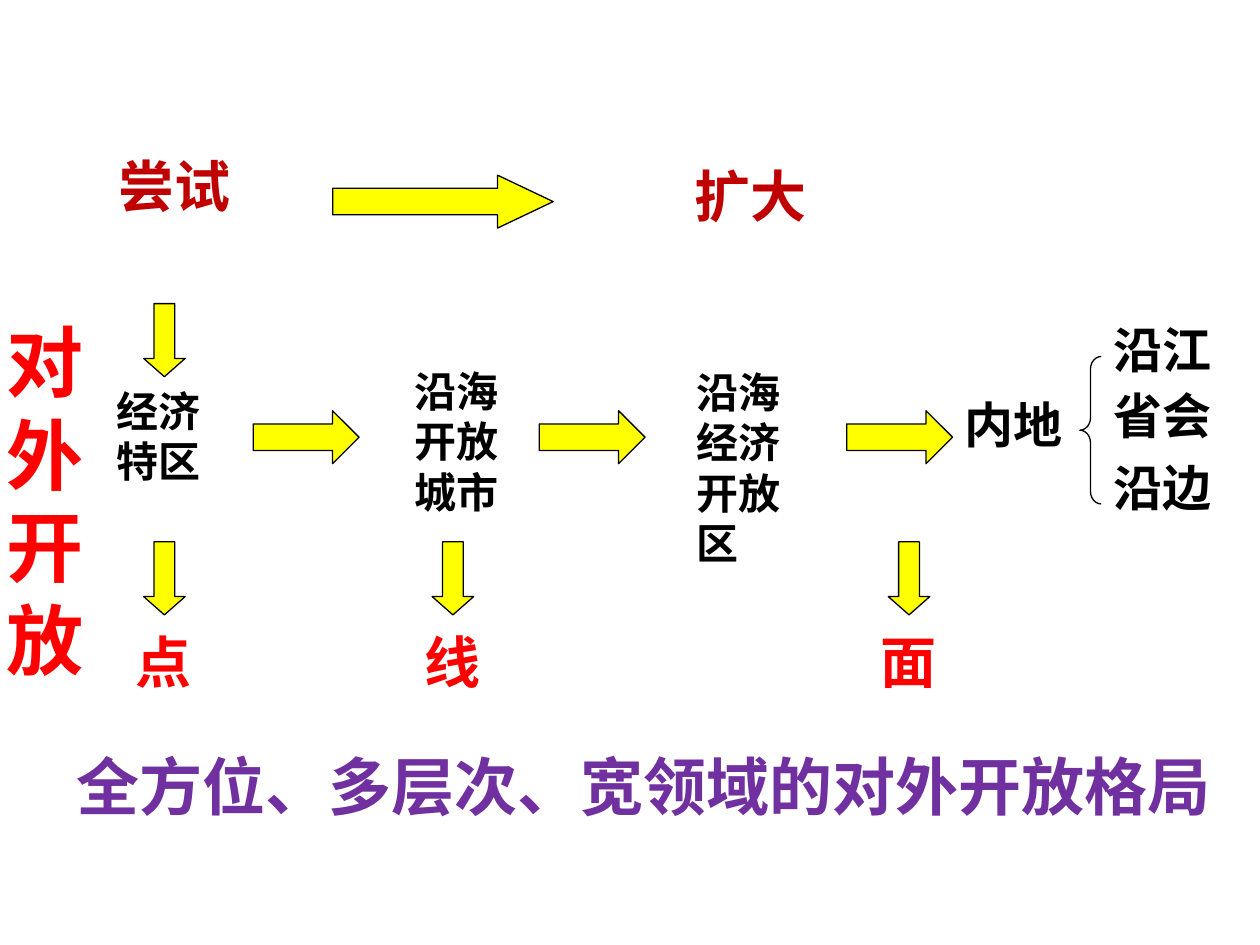
from pptx import Presentation
from pptx.dml.color import RGBColor
from pptx.enum.shapes import MSO_SHAPE as Shape
from pptx.enum.text import MSO_ANCHOR, PP_ALIGN as Align
from pptx.util import Inches, Pt
from lxml.etree import SubElement
from pptx.oxml.ns import qn

COLORS = {"yellow": "FFFF00", "black": "000000", "crimson": "C00000",
          "red": "FF0000", "purple": "7030A0"}
CJK_FONT = "Noto Sans CJK SC"

prs = Presentation()
prs.slide_width, prs.slide_height = Inches(10), Inches(7.5)
slide = prs.slides.add_slide(prs.slide_layouts[6])


def add_text(text, left, top, width, height, size=24, color="black",
             font=CJK_FONT, align=Align.LEFT, wrap=False):
    frame = slide.shapes.add_textbox(
        Inches(left), Inches(top), Inches(width), Inches(height)).text_frame
    frame.word_wrap = wrap
    frame.vertical_anchor = MSO_ANCHOR.TOP
    paragraph = frame.paragraphs[0]
    paragraph.alignment = align
    paragraph.line_spacing = Pt(1.2 * size)
    run = paragraph.add_run()
    run.text = text
    run.font.name = font
    run.font.size = Pt(size)
    run.font.bold = True
    run.font.color.rgb = RGBColor.from_string(COLORS[color])
    SubElement(run.font._element, qn("a:ea")).set("typeface", CJK_FONT)


def add_outlined(kind, left, top, width, height, adjustments, fill=None):
    shape = slide.shapes.add_shape(
        kind, Inches(left), Inches(top), Inches(width), Inches(height))
    shape.shadow.inherit = False
    for index, value in enumerate(adjustments):
        shape.adjustments[index] = value
    if fill:
        shape.fill.solid()
        shape.fill.fore_color.rgb = RGBColor.from_string(COLORS[fill])
    else:
        shape.fill.background()
    shape.line.color.rgb = RGBColor.from_string(COLORS["black"])
    shape.line.width = Pt(0.75)


# Phases: from trial to expansion
add_outlined(Shape.RIGHT_ARROW, 2.64, 1.39, 1.75, 0.42, (0.5, 1.05), "yellow")
for phase, left, top in (("尝试", 0.51, 1.15), ("扩大", 5.08, 1.23)):
    add_text(phase, left, top, 1.75, 0.75, size=32, color="crimson",
             align=Align.CENTER)

# Regions opened in turn
for region, left, top, width, height in (
        ("经济特区", 0.83, 3.01, 0.97, 0.9),
        ("沿海开放城市", 3.19, 2.85, 0.97, 1.3),
        ("沿海经济开放区", 5.43, 2.86, 1.08, 1.72)):
    add_text(region, left, top, width, height, wrap=True)
for left in (2.01, 4.28, 6.72):
    add_outlined(Shape.RIGHT_ARROW, left, 3.26, 0.84, 0.42, (0.5, 0.5), "yellow")

# Inland areas
add_text("内地", 7.56, 3.08, 0.98, 0.57, size=28)
add_outlined(Shape.LEFT_BRACE, 8.57, 2.83, 0.17, 1.17, (0.58, 0.5))
for area, top in (("沿江", 2.49), ("省会", 3.01), ("沿边", 3.58)):
    add_text(area, 8.74, top, 0.98, 0.57, size=28)

# Arrows down to point, line and area
add_outlined(Shape.DOWN_ARROW, 1.14, 2.41, 0.33, 0.58, (0.5, 0.44), "yellow")
for pattern, left in (("点", 0.98), ("线", 3.27), ("面", 6.89)):
    add_outlined(Shape.DOWN_ARROW, left + 0.16, 4.3, 0.33, 0.58, (0.5, 0.44), "yellow")
    add_text(pattern, left, 4.93, 0.65, 0.64, size=32, color="red")

# Topic and conclusion
add_text("全方位、多层次、宽领域的对外开放格局", 0.46, 5.88, 9.3, 0.5,
         size=36, color="purple", align=Align.CENTER)
add_text("对外开放", -0.05, 2.45, 1.4, 3.07, size=44, color="red",
         font="Arial", wrap=True)

prs.save("out.pptx")
